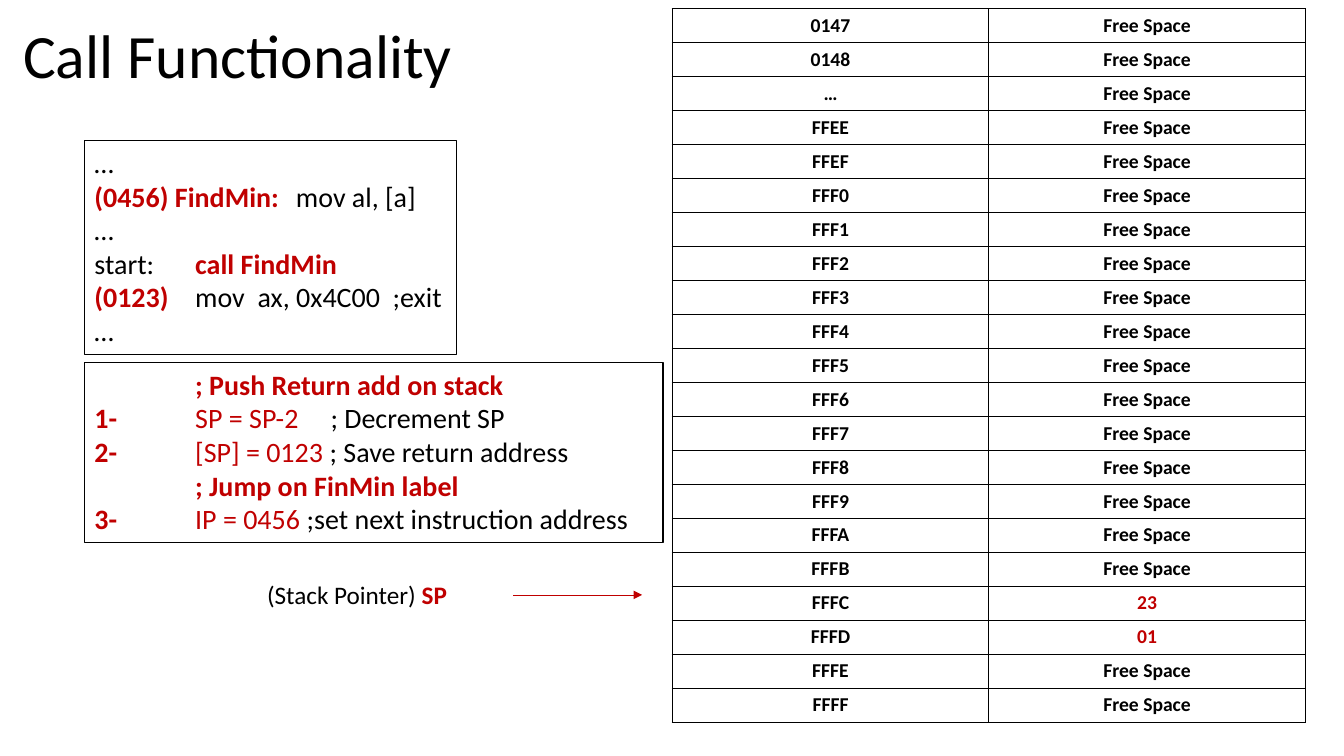
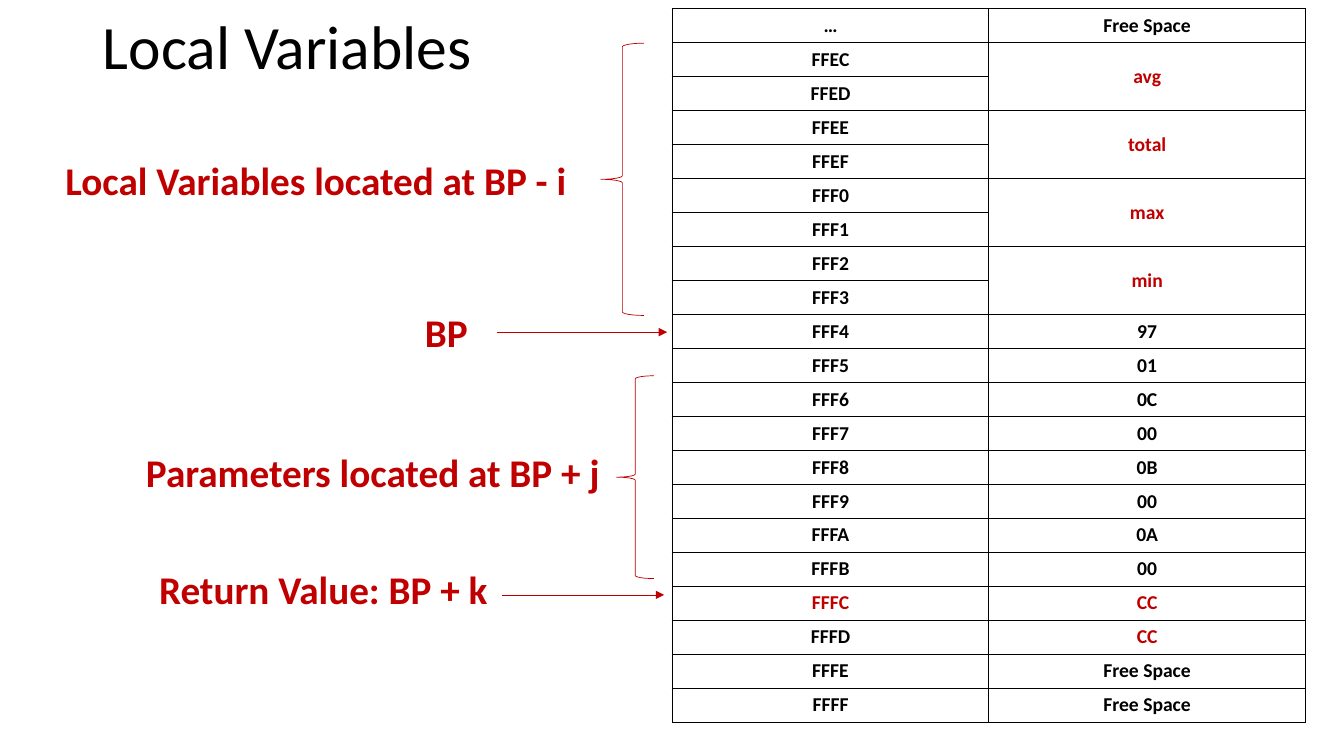
from lxml.etree import SubElement
from pptx import Presentation
from pptx.dml.color import RGBColor
from pptx.enum.shapes import MSO_CONNECTOR, MSO_SHAPE
from pptx.enum.text import MSO_ANCHOR, PP_ALIGN
from pptx.oxml.ns import qn
from pptx.util import Cm, Pt

BLACK = RGBColor(0x00, 0x00, 0x00)
RED = RGBColor(0xC0, 0x00, 0x00)
FONT = "Calibri"
FREE = "Free Space"
TITLE_ONLY = 5
ROW_HEIGHT = 0.85
COLUMN_WIDTH = 7.98


def style_span(span, size, color=BLACK, bold=False):
    span.font.name = FONT
    span.font.size = Pt(size)
    span.font.bold = bold
    span.font.color.rgb = color


def add_page(deck, title, left, top, width, height):
    page = deck.slides.add_slide(deck.slide_layouts[TITLE_ONLY])
    box = page.shapes.title
    box.left, box.top, box.width, box.height = Cm(left), Cm(top), Cm(width), Cm(height)
    frame = box.text_frame
    frame.text = title
    frame.vertical_anchor = MSO_ANCHOR.MIDDLE
    para = frame.paragraphs[0]
    para.alignment = PP_ALIGN.LEFT
    para.line_spacing = 0.9
    style_span(para.runs[0], 44)
    return page


def add_tab_stops(para, stops):
    tabs = SubElement(para._p.get_or_add_pPr(), qn("a:tabLst"))
    for stop in stops:
        SubElement(tabs, qn("a:tab"), pos=str(Cm(stop)), algn="l")


def add_text(page, left, top, width, height, lines, size, stops=(), outlined=False):
    box = page.shapes.add_textbox(Cm(left), Cm(top), Cm(width), Cm(height))
    frame = box.text_frame
    frame.word_wrap = True
    if outlined:
        box.line.color.rgb = BLACK
        box.line.width = Pt(0.75)
    for index, line in enumerate(lines):
        para = frame.add_paragraph() if index else frame.paragraphs[0]
        if stops:
            add_tab_stops(para, stops)
        for text, color, bold in line:
            span = para.add_run()
            span.text = text
            style_span(span, size, color, bold)


def add_label(page, text, left, top, width):
    add_text(page, left, top, width, 1.45, [[(text, RED, True)]], 28)


def add_arrow(page, start_x, end_x, y):
    arrow = page.shapes.add_connector(
        MSO_CONNECTOR.STRAIGHT, Cm(start_x), Cm(y), Cm(end_x), Cm(y))
    arrow.line.color.rgb = RED
    arrow.line.width = Pt(0.5)
    properties = arrow._element.spPr
    SubElement(properties.find(qn("a:ln")), qn("a:tailEnd"), type="triangle")
    SubElement(properties, qn("a:effectLst"))


def add_brace(page, left, top, width, height):
    brace = page.shapes.add_shape(
        MSO_SHAPE.LEFT_BRACE, Cm(left), Cm(top), Cm(width), Cm(height))
    brace.shadow.inherit = False
    brace.fill.background()
    brace.line.color.rgb = RED
    brace.line.width = Pt(0.5)


def format_cell(cell):
    properties = cell._tc.get_or_add_tcPr()
    for side in ("lnL", "lnR", "lnT", "lnB"):
        border = SubElement(properties, qn(f"a:{side}"), w=str(Pt(1)))
        fill = SubElement(border, qn("a:solidFill"))
        SubElement(fill, qn("a:srgbClr"), val=str(BLACK))
    cell.fill.background()


def add_memory_table(page, addresses, values, red_texts):
    rows = list(zip(addresses, values))
    table = page.shapes.add_table(
        len(rows), 2, Cm(16.94), Cm(0.22),
        Cm(2 * COLUMN_WIDTH), Cm(len(rows) * ROW_HEIGHT)).table
    table.first_row = table.horz_banding = False
    for column in table.columns:
        column.width = Cm(COLUMN_WIDTH)
    for row_index, row in enumerate(rows):
        table.rows[row_index].height = Cm(ROW_HEIGHT)
        for column_index, text in enumerate(row):
            cell = table.cell(row_index, column_index)
            format_cell(cell)
            if text is None:
                above = table.cell(row_index - 1, column_index)
                above.merge(cell)
                above.vertical_anchor = MSO_ANCHOR.MIDDLE
                continue
            cell.text_frame.text = text
            para = cell.text_frame.paragraphs[0]
            para.alignment = PP_ALIGN.CENTER
            style_span(para.runs[0], 14, RED if text in red_texts else BLACK, True)


def stack_addresses(first):
    return [f"{address:04X}" for address in range(first, 0x10000)]


def build_call_page(deck):
    page = add_page(deck, "Call Functionality", 0.33, 0.23, 16, 2.49)
    add_memory_table(
        page, ["0147", "0148", "…"] + stack_addresses(0xFFEE),
        [FREE] * 17 + ["23", "01"] + [FREE] * 2, {"23", "01"})
    add_text(page, 6.48, 14.48, 5.4, 1.02,
             [[("(Stack Pointer) ", BLACK, False), ("SP", RED, True)]], 18)
    add_arrow(page, 12.93, 16.18, 14.99)
    ellipsis = [("…", BLACK, False)]
    program = [
        ellipsis,
        [("(0456) FindMin:\t", RED, True), ("mov al, [a]", BLACK, False)],
        ellipsis,
        [("start:\t", BLACK, False), ("call FindMin", RED, True)],
        [("(0123)\t", RED, True), ("mov  ax, 0x4C00  ;exit", BLACK, False)],
        ellipsis,
    ]
    add_text(page, 2.13, 3.54, 9.37, 5.4, program, 20, (2.54, 5.08), True)
    steps = [
        [("\t; Push Return add on stack", RED, True)],
        [("1-\t", RED, True), ("SP = SP-2\t", RED, False),
         ("; Decrement SP", BLACK, False)],
        [("2-\t", RED, True), ("[SP] = 0123 ", RED, False),
         ("; Save return address", BLACK, False)],
        [("\t; Jump on FinMin label", RED, True)],
        [("3-\t", RED, True), ("IP = 0456 ", RED, False),
         (";set next instruction address", BLACK, False)],
    ]
    add_text(page, 2.13, 9.13, 14.58, 4.54, steps, 20, (2.54, 5.95), True)


def build_variables_page(deck):
    page = add_page(deck, "Local Variables", 2.34, 0.1, 11.56, 2.31)
    variables = ["avg", "total", "max", "min"]
    values = [FREE]
    for variable in variables:
        values += [variable, None]
    values += ["97", "01", "0C", "00", "0B", "00", "0A", "00", "CC", "CC", FREE, FREE]
    add_memory_table(page, ["…"] + stack_addresses(0xFFEC), values,
                     {*variables, "FFFC", "CC"})
    add_label(page, "Local Variables located at BP - i", 1.4, 3.81, 13.6)
    add_brace(page, 15.14, 1.09, 1.09, 6.86)
    add_label(page, "BP", 10.46, 7.65, 2)
    add_arrow(page, 12.52, 16.81, 8.37)
    add_label(page, "Parameters located at BP + j", 3.43, 11.18, 12.57)
    add_brace(page, 15.54, 9.47, 0.94, 5.11)
    add_label(page, "Return Value: BP + k", 3.76, 14.12, 9.2)
    add_arrow(page, 12.65, 16.74, 14.99)


def main():
    deck = Presentation()
    deck.slide_width, deck.slide_height = Cm(33.87), Cm(19.05)
    build_call_page(deck)
    build_variables_page(deck)
    deck.save("out.pptx")


if __name__ == "__main__":
    main()
